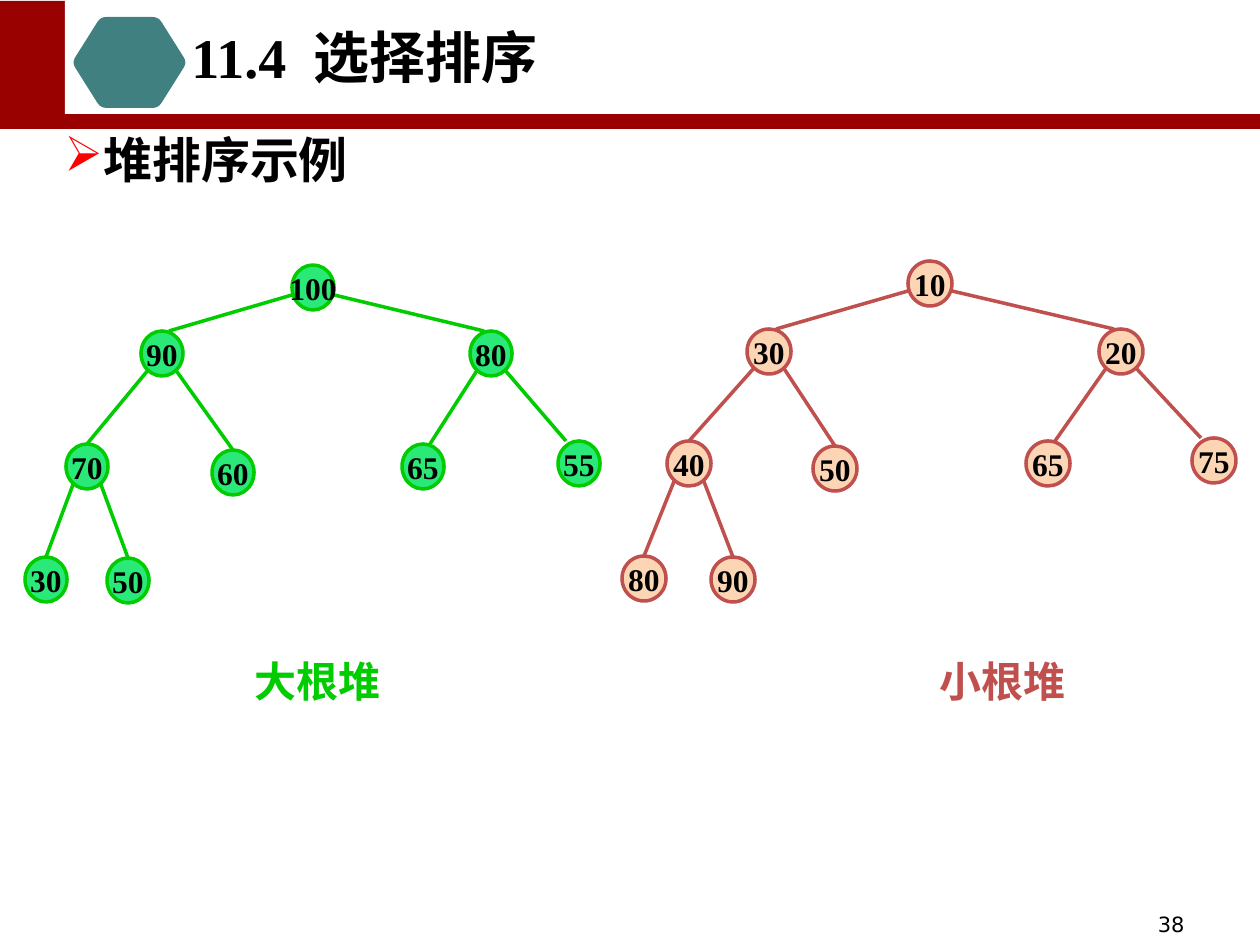
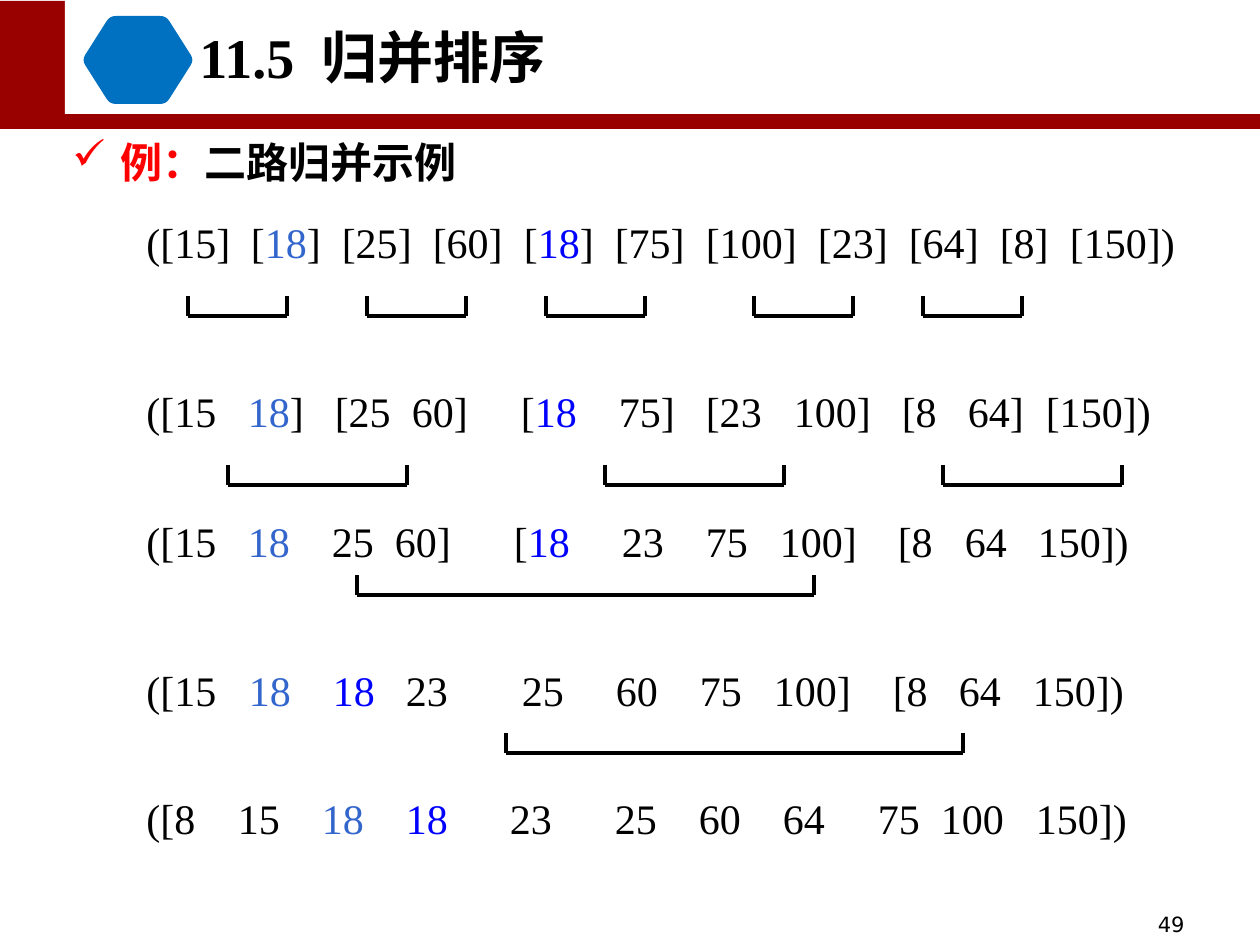
from lxml import etree
from pptx import Presentation
from pptx import util as u
from pptx.dml.color import RGBColor
from pptx.enum import shapes, text
from pptx.oxml import ns

EMU_PER_PX = 914400 / 126
SLIDE_W, SLIDE_H = 1260, 945

MAROON = RGBColor(0x99, 0x00, 0x00)
WHITE = RGBColor(0xFF, 0xFF, 0xFF)
BLACK = RGBColor(0x00, 0x00, 0x00)
RED = RGBColor(0xFF, 0x00, 0x00)
TEAL = RGBColor(0x40, 0x80, 0x80)
AZURE = RGBColor(0x00, 0x70, 0xC0)
GREEN = RGBColor(0x00, 0xCC, 0x00)
MINT = RGBColor(0x2B, 0xE9, 0x78)
BRICK = RGBColor(0xC0, 0x50, 0x4D)
PEACH = RGBColor(0xFC, 0xD5, 0xB5)
FIRST_18 = RGBColor(0x33, 0x66, 0xCC)
SECOND_18 = RGBColor(0x00, 0x00, 0xFF)

SERIF = "Times New Roman"
TITLE = dict(name=SERIF, size=u.Pt(32), bold=True)
HEADING = dict(name=SERIF, size=u.Pt(28), bold=True)
SUBHEADING = dict(name=SERIF, size=u.Pt(24), bold=True)
NODE = dict(name=SERIF, size=u.Pt(18), bold=True)
CAPTION = dict(name="Arial", size=u.Pt(24), bold=True)
KEYS = dict(name=SERIF, size=u.Pt(24), bold=False)
PAGE = dict(name="DejaVu Sans", size=u.Pt(12), bold=False)

# Heaps in level order: (key, left, top)
MAX_HEAP = [(100, 292, 265), (90, 141, 331), (80, 470, 331),
            (70, 66, 444), (60, 212, 450), (65, 402, 444), (55, 558, 441),
            (30, 25, 557), (50, 107, 558)]
MIN_HEAP = [(10, 908, 261), (30, 747, 329), (20, 1099, 329),
            (40, 667, 441), (50, 813, 446), (65, 1026, 441), (75, 1192, 438),
            (80, 622, 556), (90, 711, 557)]
# Where each edge meets its child, measured from the child's middle
LANDINGS = [0, 7, -7, 0, 0, 7, -13, 0, 0]
NODE_H = 45

# Merge passes: top, keys, left of every key after the first
PASSES = [
    (210, "([15] [18] [25] [60] [18] [75] [100] [23] [64] [8] [150])",
     [251, 342, 433, 524, 615, 706, 818, 909, 1000, 1070]),
    (379, "([15 18] [25 60] [18 75] [23 100] [8 64] [150])",
     [248, 335, 412, 521, 619, 706, 794, 902, 968, 1046]),
    (509, "([15 18 25 60] [18 23 75 100] [8 64 150])",
     [248, 332, 395, 514, 622, 706, 780, 898, 965, 1038]),
    (658, "([15 18 18 23 25 60 75 100] [8 64 150])",
     [249, 333, 406, 522, 616, 700, 774, 893, 959, 1033]),
    (786, "([8 15 18 18 23 25 60 64 75 100 150])",
     [238, 322, 406, 510, 615, 699, 783, 878, 941, 1036]),
]
KEYS_LEFT, INSET = 134, 12.6
# Merge brackets: top, width, lefts
BRACKETS = [(296, 99, [188, 367, 546, 754, 923]),
            (465, 179, [228, 605, 943]),
            (575, 457, [357]),
            (733, 457, [506])]
BRACKET_H = 20


def px(length):
    return u.Emu(round(length * EMU_PER_PX))


def add_run(paragraph, words, style, colour=BLACK):
    font = paragraph.add_run()
    font.text = words
    for attribute, value in style.items():
        setattr(font.font, attribute, value)
    font.font.color.rgb = colour


def add_text(slide, left, top, width, height, **frame_format):
    frame = slide.shapes.add_textbox(*map(px, (left, top, width, height))).text_frame
    frame.word_wrap = True
    for attribute, value in frame_format.items():
        setattr(frame, attribute, value)
    return frame.paragraphs[0]


def add_bullet(paragraph, mark, indent):
    props = paragraph._p.get_or_add_pPr()
    props.set("marL", str(px(indent)))
    props.set("indent", str(-px(indent)))
    colour = etree.SubElement(props, ns.qn("a:buClr"))
    etree.SubElement(colour, ns.qn("a:srgbClr"), val=str(RED))
    etree.SubElement(props, ns.qn("a:buChar"), char=mark)


def add_tabs(paragraph, stops):
    tabs = etree.SubElement(paragraph._p.get_or_add_pPr(), ns.qn("a:tabLst"))
    for stop in stops:
        etree.SubElement(tabs, ns.qn("a:tab"), pos=str(px(stop)), algn="l")


def paint(shape, fill):
    shape.shadow.inherit = False
    shape.fill.solid()
    shape.fill.fore_color.rgb = fill
    shape.line.fill.background()


def add_band(slide, left, top, width, height, fill):
    band = slide.shapes.add_shape(shapes.MSO_SHAPE.RECTANGLE,
                                  *map(px, (left, top, width, height)))
    paint(band, fill)


def add_line(slide, start, end, colour):
    line = slide.shapes.add_connector(shapes.MSO_CONNECTOR.STRAIGHT,
                                      *map(px, (*start, *end)))
    line.line.color.rgb = colour
    line.line.width = u.Pt(2)
    etree.SubElement(line._element.spPr, ns.qn("a:effectLst"))


def add_hexagon(slide, left, top, width, height, fill):
    """Hexagon whose corners are rounded by short quadratic curves."""
    right, bottom, middle = left + width, top + height, top + height / 2
    shoulder = width * 0.24
    corners = [(left - 2, middle), (left + shoulder, top), (right - shoulder, top),
               (right + 2, middle), (right - shoulder, bottom), (left + shoulder, bottom)]

    def toward(a, b, reach=6):
        length = ((b[0] - a[0]) ** 2 + (b[1] - a[1]) ** 2) ** 0.5
        return [p + (q - p) * reach / length for p, q in zip(a, b)]

    outline = []
    for i, corner in enumerate(corners):
        before = toward(corner, corners[i - 1])
        after = toward(corner, corners[(i + 1) % 6])
        for t in (0, 0.25, 0.5, 0.75, 1):
            outline.append([px((1 - t) ** 2 * a + 2 * t * (1 - t) * c + t * t * b)
                            for a, c, b in zip(before, corner, after)])
    builder = slide.shapes.build_freeform(*outline[0])
    builder.add_line_segments(outline[1:], close=True)
    paint(builder.convert_to_shape(), fill)


def add_page(deck, number, name, page, title_left, hexagon):
    """Blank slide with bands, hexagon, title and page number."""
    slide = deck.slides.add_slide(deck.slide_layouts[6])
    add_band(slide, 0, 1, SLIDE_W, 128, MAROON)
    add_band(slide, 65, 0, SLIDE_W - 65, 114, WHITE)
    add_hexagon(slide, *hexagon)
    title = add_text(slide, title_left, 16, 420, 81)
    add_tabs(title, [122])
    add_run(title, f"{number}\t{name}", TITLE)
    footer = add_text(slide, 903, 908, 294, 32,
                      vertical_anchor=text.MSO_ANCHOR.MIDDLE)
    footer.alignment = text.PP_ALIGN.RIGHT
    add_run(footer, page, PAGE)
    return slide


def add_node(slide, key, left, top, width, fill, outline):
    node = slide.shapes.add_shape(shapes.MSO_SHAPE.OVAL,
                                  *map(px, (left, top, width, NODE_H)))
    paint(node, fill)
    node.line.color.rgb = outline
    node.line.width = u.Pt(2)
    frame = node.text_frame
    layout = dict(word_wrap=False, vertical_anchor=text.MSO_ANCHOR.MIDDLE,
                  margin_left=0, margin_right=0, margin_top=0, margin_bottom=0)
    for attribute, value in layout.items():
        setattr(frame, attribute, value)
    frame.paragraphs[0].alignment = text.PP_ALIGN.CENTER
    add_run(frame.paragraphs[0], str(key), NODE)


def add_heap(slide, nodes, width, fill, outline):
    # Edges lie behind the nodes
    for i in range(1, len(nodes)):
        parent = (i - 1) // 2
        _, left, top = nodes[parent]
        inset, drop = (0, 30) if parent == 0 else (8, 38)
        start_x = left + inset if i % 2 else left + width - inset
        _, child_left, child_top = nodes[i]
        add_line(slide, (start_x, top + drop),
                 (child_left + width / 2 + LANDINGS[i], child_top), outline)
    for key, left, top in nodes:
        add_node(slide, key, left, top, width, fill, outline)


def add_pass(slide, top, keys, lefts):
    row = add_text(slide, KEYS_LEFT, top, 1080, 63)
    add_tabs(row, [left - KEYS_LEFT - INSET for left in lefts])
    # The two equal keys keep their own colours through every pass
    before, between, after = keys.replace(" ", "\t").split("18")
    for words, colour in ((before, BLACK), ("18", FIRST_18), (between, BLACK),
                          ("18", SECOND_18), (after, BLACK)):
        add_run(row, words, KEYS, colour)


def add_bracket(slide, left, top, width):
    right, bottom = left + width, top + BRACKET_H
    corners = [(left, top), (left, bottom), (right, bottom), (right, top)]
    for start, end in zip(corners, corners[1:]):
        add_line(slide, start, end, BLACK)


def build_heap_slide(deck):
    slide = add_page(deck, "11.4", "选择排序", "38", 179, (74, 17, 111, 91, TEAL))
    heading = add_text(slide, 52, 130, 314, 67)
    add_bullet(heading, "➢", 0)
    heading.line_spacing = 0.9
    add_run(heading, "堆排序示例", HEADING)
    add_heap(slide, MAX_HEAP, 42, MINT, GREEN)
    add_heap(slide, MIN_HEAP, 44, PEACH, BRICK)
    for name, left, colour in (("大根堆", 242, GREEN), ("小根堆", 927, BRICK)):
        add_run(add_text(slide, left, 649, 179, 63), name, CAPTION, colour)


def build_merge_slide(deck):
    slide = add_page(deck, "11.5", "归并排序", "49", 187, (84, 16, 108, 88, AZURE))
    heading = add_text(slide, 60, 130, 415, 63)
    add_bullet(heading, "✓", 48)
    add_run(heading, "例：", SUBHEADING, RED)
    add_run(heading, "二路归并示例", SUBHEADING)
    for top, keys, lefts in PASSES:
        add_pass(slide, top, keys, lefts)
    for top, width, lefts in BRACKETS:
        for left in lefts:
            add_bracket(slide, left, top, width)


def main():
    deck = Presentation()
    deck.slide_width, deck.slide_height = px(SLIDE_W), px(SLIDE_H)
    build_heap_slide(deck)
    build_merge_slide(deck)
    deck.save("out.pptx")


if __name__ == "__main__":
    main()
